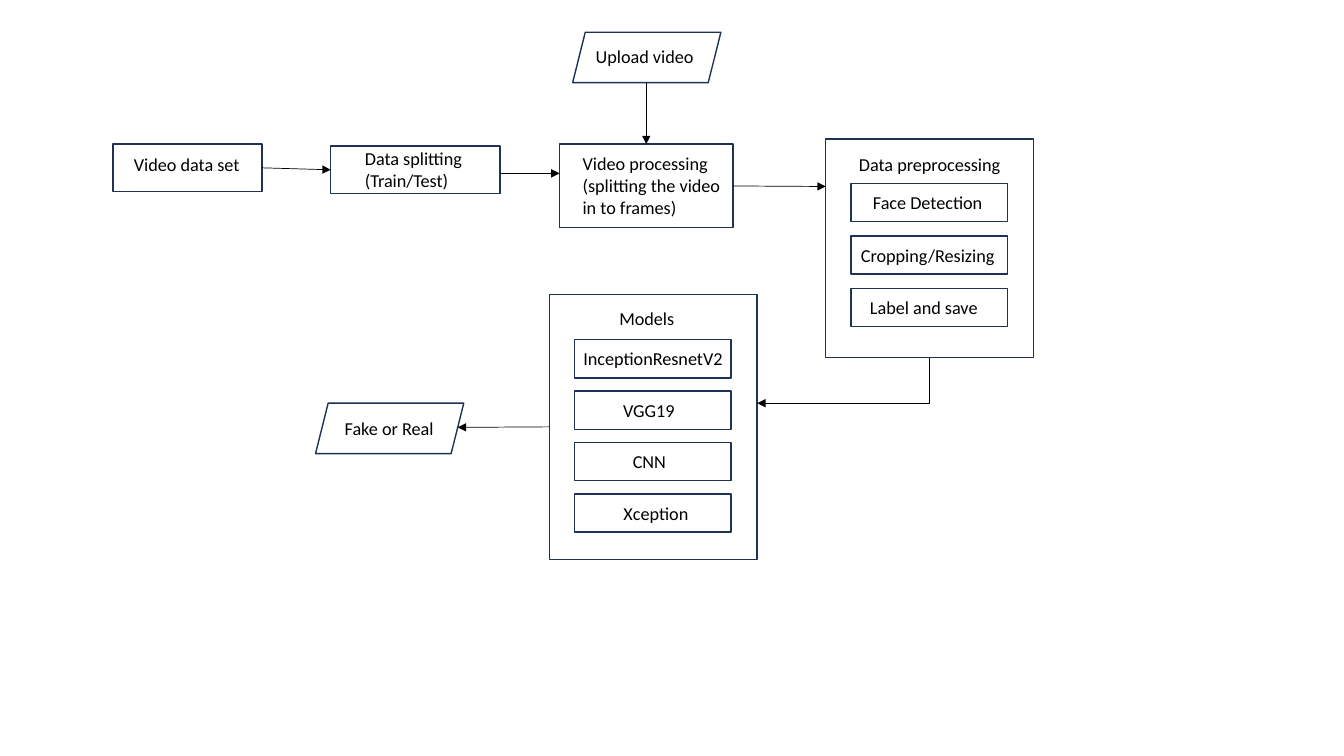
from lxml.etree import SubElement
from pptx import Presentation
from pptx.dml.color import RGBColor
from pptx.enum.shapes import MSO_CONNECTOR as LINK, MSO_SHAPE as FORM
from pptx.enum.text import MSO_AUTO_SIZE as FIT, PP_ALIGN as ALIGN
from pptx.oxml.ns import qn
from pptx.util import Inches, Pt


def color(value):
    """Turn a hex string into a colour."""
    return RGBColor.from_string(value)


class Flowchart:
    """Hold the style and the slide, and draw each kind of element."""
    outline, ink = "1E3256", "000000"
    frame_format = {"word_wrap": True, "auto_size": FIT.SHAPE_TO_FIT_TEXT}
    font_format = {"name": "Calibri", "size": Pt(13)}

    def __init__(self, slide):
        """Keep the slide to draw on."""
        self.shapes = slide.shapes

    def box(self, left, top, width, height, form=FORM.RECTANGLE):
        """Draw an unfilled outlined shape."""
        shape = self.shapes.add_shape(form, *map(Inches, (left, top, width, height)))
        shape.shadow.inherit = False
        shape.fill.background()
        shape.line.color.rgb = color(self.outline)
        shape.line.width = Pt(1)
        return shape

    def label(self, left, top, width, *lines, height=0.32, align=ALIGN.LEFT):
        """Write one paragraph for each line."""
        frame = self.shapes.add_textbox(*map(Inches, (left, top, width, height))).text_frame
        for key, value in self.frame_format.items():
            setattr(frame, key, value)
        frame.text = "\n".join(lines)
        for paragraph in frame.paragraphs:
            paragraph.alignment = align
            for key, value in self.font_format.items():
                setattr(paragraph.font, key, value)
            paragraph.font.color.rgb = color(self.ink)

    def stack(self, left, top, pitch, items, align=ALIGN.LEFT):
        """Draw equally spaced boxes with their labels."""
        for row, (text, label_left, width) in enumerate(items):
            y = top + row * pitch
            self.box(left, y, 1.55, 0.38)
            self.label(label_left, y + 0.03, width, text, align=align)

    def arrow(self, start, end, source=None, target=None, kind=LINK.STRAIGHT):
        """Draw an arrow, joined to (shape, side) pairs where given."""
        link = self.shapes.add_connector(kind, *map(Inches, (*start, *end)))
        if source:
            link.begin_connect(*source)
        if target:
            link.end_connect(*target)
        link.line.color.rgb = color(self.ink)
        link.line.width = Pt(0.5)
        SubElement(link.line._get_or_add_ln(), qn("a:tailEnd"), type="triangle")
        SubElement(link._element.spPr, qn("a:effectLst"))
        return link

    def corner_arrow(self, start, end):
        """Draw an arrow that goes down and then left."""
        (x1, y1), (x2, y2) = start, end
        mid_x, mid_y = (x1 + x2) / 2, (y1 + y2) / 2
        half_w, half_h = (y2 - y1) / 2, (x1 - x2) / 2
        link = self.arrow((mid_x - half_w, mid_y - half_h),
                          (mid_x + half_w, mid_y + half_h), kind=LINK.ELBOW)
        properties = link._element.spPr
        properties.find(qn("a:xfrm")).set("rot", "5400000")
        properties.find(qn("a:prstGeom")).set("prst", "bentConnector2")


def main():
    """Build the slide and save it."""
    deck = Presentation()
    deck.slide_width, deck.slide_height = Inches(13.33), Inches(7.5)
    chart = Flowchart(deck.slides.add_slide(deck.slide_layouts[6]))

    data_set = chart.box(1.12, 1.43, 1.48, 0.47)
    chart.label(1.23, 1.47, 1.27, "Video data set")
    splitting = chart.box(3.28, 1.45, 1.68, 0.47)
    chart.label(3.52, 1.41, 1.59, "Data splitting (Train/Test)", height=0.54)
    processing = chart.box(5.55, 1.43, 1.72, 0.83)
    chart.label(5.68, 1.46, 1.63, "Video processing",
                "(splitting the video in to frames)", height=0.76)
    chart.box(5.68, 0.32, 1.47, 0.5, FORM.PARALLELOGRAM)
    chart.label(5.81, 0.4, 1.36, "Upload video")

    chart.box(8.19, 1.38, 2.06, 2.17)
    chart.label(8.42, 1.47, 1.68, "Data preprocessing")
    chart.stack(8.44, 1.82, 0.52, [
        ("Face Detection", 8.56, 1.54),
        ("Cropping/Resizing", 8.44, 1.93),
        ("Label and save", 8.53, 1.43),
    ])

    models = chart.box(5.45, 2.92, 2.06, 2.63)
    chart.label(5.78, 3, 1.27, "Models", align=ALIGN.CENTER)
    chart.stack(5.7, 3.37, 0.51, [
        ("InceptionResnetV2", 5.67, 1.61),
        ("VGG19", 5.82, 1.23),
        ("CNN", 5.65, 1.58),
        ("Xception", 5.79, 1.43),
    ], ALIGN.CENTER)

    chart.box(3.13, 4, 1.47, 0.5, FORM.PARALLELOGRAM)
    chart.label(3.32, 4.09, 1.22, "Fake or Real")

    chart.arrow((2.6, 1.67), (3.28, 1.68), (data_set, 3), (splitting, 1))
    chart.arrow((4.96, 1.72), (5.55, 1.72))
    chart.arrow((6.41, 0.82), (6.41, 1.43), target=(processing, 0))
    chart.arrow((7.27, 1.85), (8.19, 1.85), source=(processing, 3))
    chart.corner_arrow((9.22, 3.55), (7.51, 4))
    chart.arrow((5.45, 4.24), (4.54, 4.24), source=(models, 1))
    deck.save("out.pptx")


if __name__ == "__main__":
    main()
